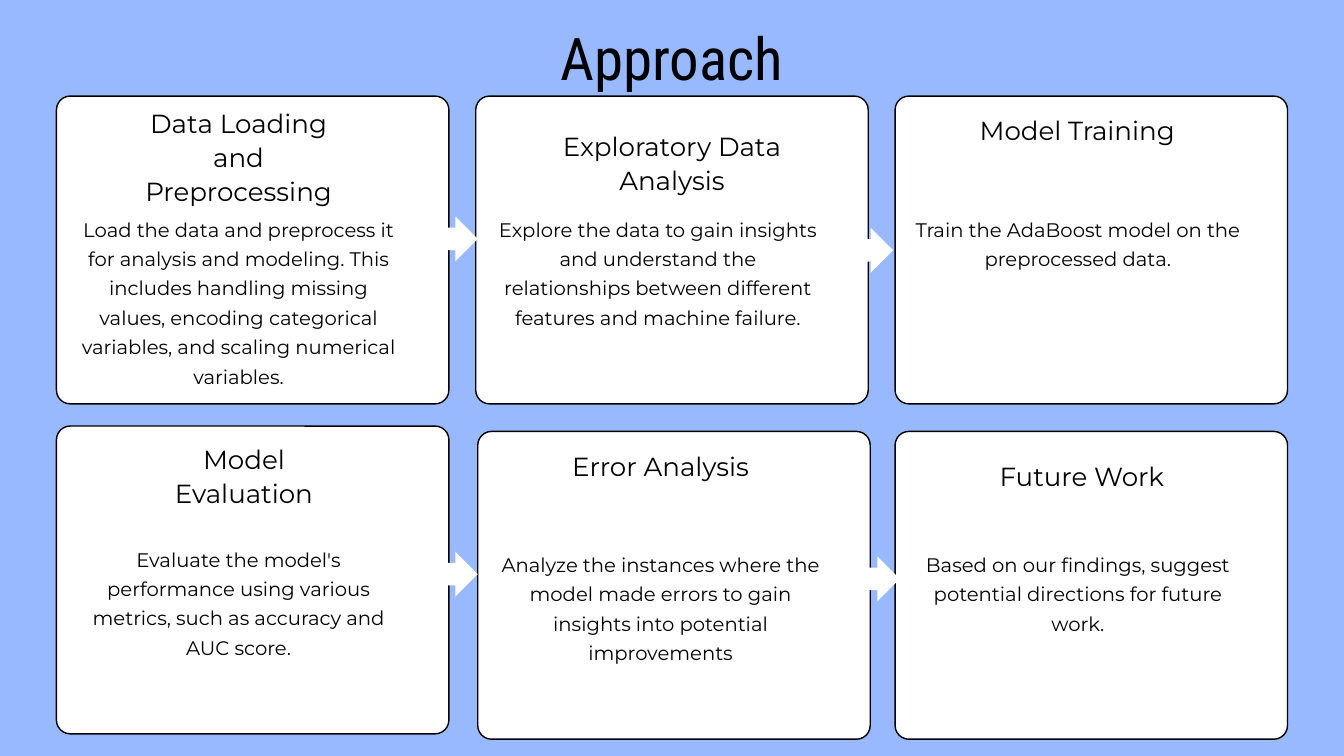
import pptx
import pptx.util
import pptx.dml.color
import pptx.enum.shapes
import pptx.enum.text

Inches = pptx.util.Inches
Pt = pptx.util.Pt
SHAPE = pptx.enum.shapes.MSO_SHAPE

BLUE = pptx.dml.color.RGBColor(0x99, 0xB9, 0xFF)
WHITE = pptx.dml.color.RGBColor(0xFF, 0xFF, 0xFF)
BLACK = pptx.dml.color.RGBColor(0, 0, 0)

CARD_W, CARD_H, CARD_RADIUS = 5.84, 4.58, 0.205
HEAD_W, HEAD_LINE = 3.34, 0.5
BODY_W, BODY_LINE = 4.86, 0.44
ARROW = 0.67

CARDS = [
    ((0.84, 1.43),
     (1.88, 1.56, 3, "Data Loading and Preprocessing"),
     (1.12, 3.15, 6, "Load the data and preprocess it for analysis and modeling. "
      "This includes handling missing values, encoding categorical variables, "
      "and scaling numerical variables.")),
    ((7.08, 1.43),
     (8.33, 1.9, 2, "Exploratory Data Analysis"),
     (7.36, 3.15, 4, "Explore the data to gain insights and understand the "
      "relationships between different features and machine failure.")),
    ((13.32, 1.43),
     (14.36, 1.67, 1, "Model Training"),
     (13.61, 3.15, 2, "Train the AdaBoost model on the preprocessed data.")),
    ((0.84, 6.34),
     (1.96, 6.56, 2, "Model Evaluation"),
     (1.12, 8.06, 4, "Evaluate the model's performance using various metrics, "
      "such as accuracy and AUC score.")),
    ((7.11, 6.42),
     (8.16, 6.66, 1, "Error Analysis"),
     (7.4, 8.14, 4, "Analyze the instances where the model made errors to gain "
      "insights into potential improvements")),
    ((13.32, 6.42),
     (14.43, 6.81, 1, "Future Work"),
     (13.61, 8.14, 3, "Based on our findings, suggest potential directions "
      "for future work.")),
]
ARROWS = [(6.44, 3.22), (12.62, 3.39), (6.44, 8.21), (12.72, 8.28)]


def write(tf, text, *, size, spacing, font="Montserrat", color=BLACK):
    tf.word_wrap = True
    tf.auto_size = pptx.enum.text.MSO_AUTO_SIZE.NONE
    tf.vertical_anchor = pptx.enum.text.MSO_ANCHOR.TOP
    tf.margin_left = tf.margin_right = tf.margin_top = tf.margin_bottom = 0
    p = tf.paragraphs[0]
    p.alignment = pptx.enum.text.PP_ALIGN.CENTER
    p.line_spacing = Pt(spacing)
    p.space_before = Pt(0)
    r = p.add_run()
    r.text = text
    r.font.name = font
    r.font.size = Pt(size)
    r.font.color.rgb = color


class Deck:
    def __init__(self, s):
        self.s = s
        s.background.fill.solid()
        s.background.fill.fore_color.rgb = BLUE

    def title(self, text, x, y, w, h):
        sp = self.s.shapes.title
        sp.left, sp.top, sp.width, sp.height = map(Inches, (x, y, w, h))
        write(sp.text_frame, text, size=63.1, spacing=63.8, font="Roboto Condensed")

    def shape(self, kind, x, y, w, h):
        sp = self.s.shapes.add_shape(kind, *map(Inches, (x, y, w, h)))
        sp.shadow.inherit = False
        sp.fill.solid()
        sp.fill.fore_color.rgb = WHITE
        return sp

    def card(self, x, y):
        sp = self.shape(SHAPE.ROUNDED_RECTANGLE, x, y, CARD_W, CARD_H)
        sp.adjustments[0] = CARD_RADIUS / CARD_H
        sp.line.color.rgb = BLACK
        sp.line.width = Pt(1.5)

    def arrow(self, x, y):
        sp = self.shape(SHAPE.RIGHT_ARROW, x, y, ARROW, ARROW)
        sp.line.fill.background()

    def text(self, text, x, y, w, h, **style):
        sp = self.s.shapes.add_textbox(*map(Inches, (x, y, w, h)))
        write(sp.text_frame, text, **style)

    def heading(self, x, y, lines, text):
        self.text(text, x, y, HEAD_W, lines * HEAD_LINE, size=28, spacing=36.4)

    def body(self, x, y, lines, text):
        self.text(text, x, y, BODY_W, lines * BODY_LINE, size=21, spacing=31.5)


def main():
    prs = pptx.Presentation()
    prs.slide_width, prs.slide_height = Inches(20), Inches(11.25)
    deck = Deck(prs.slides.add_slide(prs.slide_layouts[5]))
    deck.title("Approach", 5.09, 0.49, 9.82, 0.95)
    for card, heading, body in CARDS:
        deck.card(*card)
        deck.heading(*heading)
        deck.body(*body)
    for x, y in ARROWS:
        deck.arrow(x, y)
    prs.save("out.pptx")


if __name__ == "__main__":
    main()
